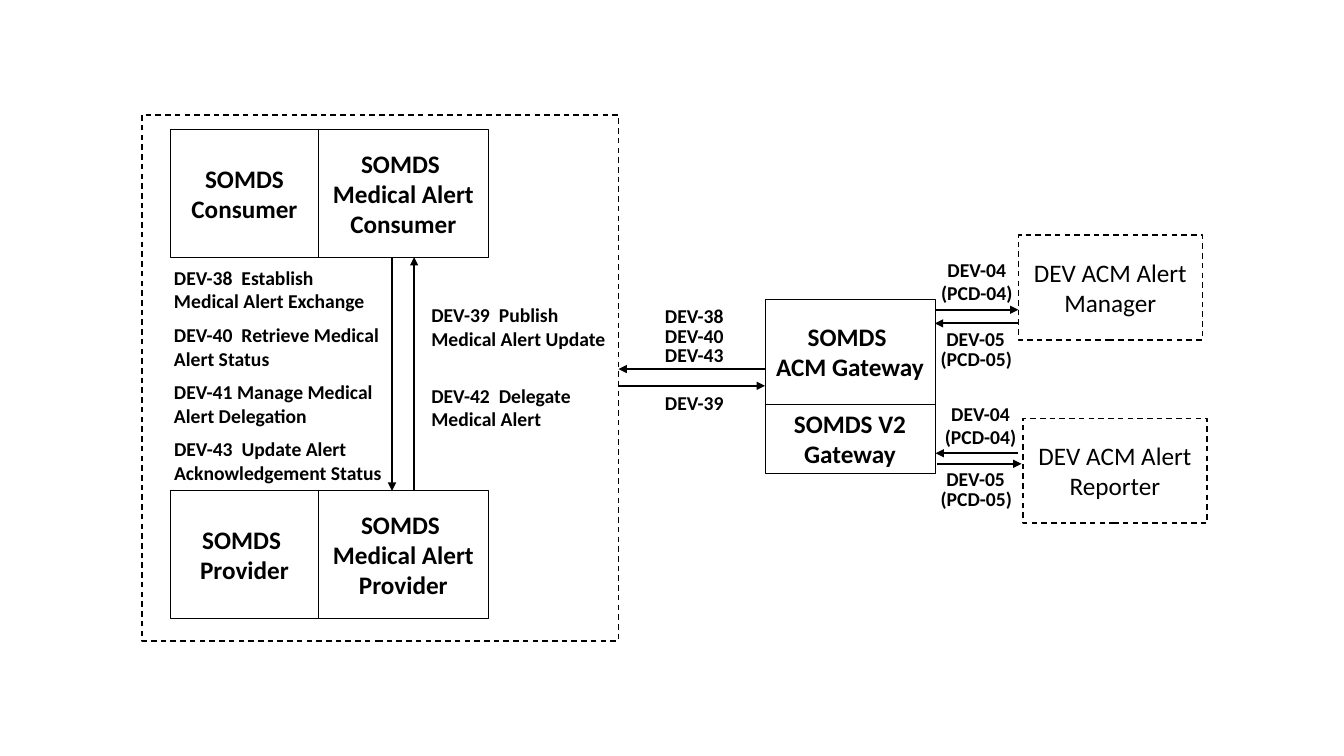
from dataclasses import dataclass

from lxml.etree import SubElement
from pptx import Presentation
from pptx.dml.color import RGBColor
from pptx.enum.dml import MSO_LINE_DASH_STYLE as Dash
from pptx.enum.shapes import MSO_CONNECTOR as Connector, MSO_SHAPE as Shape
from pptx.enum.text import MSO_ANCHOR as Anchor, MSO_AUTO_SIZE as AutoSize, PP_ALIGN as Align
from pptx.oxml.ns import qn
from pptx.slide import Slide
from pptx.text.text import TextFrame
from pptx.util import Pt


@dataclass(frozen=True)
class Theme:
    ink: RGBColor = RGBColor(0, 0, 0)
    paper: RGBColor = RGBColor(255, 255, 255)
    font: str = "Calibri"
    actor_size: float = 18
    label_size: float = 14
    solid_width: float = 0.5
    dash_width: float = 1
    arrow_width: float = 1.5


@dataclass(frozen=True)
class Actor:
    text: str
    left: float
    top: float
    width: float
    height: float
    dashed: bool = False


@dataclass(frozen=True)
class Label:
    text: str
    left: float
    top: float
    width: float
    height: float
    align: Align = Align.LEFT


@dataclass(frozen=True)
class Arrow:
    x1: float
    y1: float
    x2: float
    y2: float


THEME = Theme()


def write(frame: TextFrame, text: str, size: float, bold: bool, align: Align) -> None:
    frame.word_wrap = True
    frame.text = text
    font_format = {"name": THEME.font, "size": Pt(size), "bold": bold}
    for paragraph in frame.paragraphs:
        paragraph.alignment = align
        for run in paragraph.runs:
            for attribute, value in font_format.items():
                setattr(run.font, attribute, value)
            run.font.color.rgb = THEME.ink


def draw_actor(slide: Slide, actor: Actor) -> None:
    bounds = (actor.left, actor.top, actor.width, actor.height)
    box = slide.shapes.add_shape(Shape.RECTANGLE, *map(Pt, bounds))
    box.shadow.inherit = False
    box.line.color.rgb = THEME.ink
    if actor.dashed:
        box.fill.background()
        line_format = {"width": Pt(THEME.dash_width), "dash_style": Dash.DASH}
    else:
        box.fill.solid()
        box.fill.fore_color.rgb = THEME.paper
        line_format = {"width": Pt(THEME.solid_width)}
    for attribute, value in line_format.items():
        setattr(box.line, attribute, value)
    if actor.text:
        box.text_frame.vertical_anchor = Anchor.MIDDLE
        write(box.text_frame, actor.text, THEME.actor_size, not actor.dashed, Align.CENTER)


def draw_label(slide: Slide, label: Label) -> None:
    bounds = (label.left, label.top, label.width, label.height)
    frame = slide.shapes.add_textbox(*map(Pt, bounds)).text_frame
    write(frame, label.text, THEME.label_size, True, label.align)
    frame.auto_size = AutoSize.SHAPE_TO_FIT_TEXT


def draw_arrow(slide: Slide, arrow: Arrow) -> None:
    ends = (arrow.x1, arrow.y1, arrow.x2, arrow.y2)
    connector = slide.shapes.add_connector(Connector.STRAIGHT, *map(Pt, ends))
    connector.line.color.rgb = THEME.ink
    connector.line.width = Pt(THEME.arrow_width)
    properties = connector.line._get_or_add_ln()
    SubElement(properties, qn("a:tailEnd"), type="triangle")
    SubElement(connector._element.spPr, qn("a:effectLst"))


# Shared edges and label heights
SYSTEM_LEFT, SYSTEM_RIGHT = 101.4, 441.8
CONSUMER_TOP, PROVIDER_TOP, PARTY_HEIGHT = 92.7, 350.6, 91
PARTY_LEFT, PARTY_SPLIT = 121.6, 227.6
PARTY_WIDTH, ALERT_WIDTH = PARTY_SPLIT - PARTY_LEFT, 121
GATEWAY_LEFT, GATEWAY_WIDTH = 546.4, 121.4
GATEWAY_RIGHT = GATEWAY_LEFT + GATEWAY_WIDTH
MANAGER_LEFT, REPORTER_LEFT = 727.4, 730.7
ONE_LINE, TWO_LINES = 24.2, 41.2

ACTORS = [
    Actor("SOMDS \nProvider", PARTY_LEFT, PROVIDER_TOP, PARTY_WIDTH, PARTY_HEIGHT),
    Actor("SOMDS \nMedical Alert Provider", PARTY_SPLIT, PROVIDER_TOP, ALERT_WIDTH, PARTY_HEIGHT),
    Actor("SOMDS Consumer", PARTY_LEFT, CONSUMER_TOP, PARTY_WIDTH, PARTY_HEIGHT),
    Actor("SOMDS \nMedical Alert Consumer", PARTY_SPLIT, CONSUMER_TOP, ALERT_WIDTH, PARTY_HEIGHT),
    Actor("SOMDS \nACM Gateway", GATEWAY_LEFT, 213.7, GATEWAY_WIDTH, 75),
    Actor("SOMDS V2 Gateway", GATEWAY_LEFT, 288.7, GATEWAY_WIDTH, 49.3),
    Actor("DEV ACM Alert Manager", MANAGER_LEFT, 168, 131.4, 74.9, dashed=True),
    Actor("DEV ACM Alert Reporter", REPORTER_LEFT, 298.8, 131.4, 74.9, dashed=True),
    Actor("", SYSTEM_LEFT, 82, SYSTEM_RIGHT - SYSTEM_LEFT, 375.8, dashed=True),
]

ARROWS = [
    # Between consumer and provider
    Arrow(280, CONSUMER_TOP + PARTY_HEIGHT, 280, PROVIDER_TOP),
    Arrow(295.8, PROVIDER_TOP, 295.8, CONSUMER_TOP + PARTY_HEIGHT),
    # Between the system and the gateway
    Arrow(GATEWAY_LEFT, 263.6, SYSTEM_RIGHT, 263.6),
    Arrow(SYSTEM_RIGHT, 275.6, GATEWAY_LEFT, 275.6),
    # Between the gateways and the manager and reporter
    Arrow(GATEWAY_RIGHT, 221.3, MANAGER_LEFT, 221.3),
    Arrow(MANAGER_LEFT, 231, GATEWAY_RIGHT, 231),
    Arrow(669.3, 331.3, 729.7, 331.3),
    Arrow(727.3, 323.8, 668.3, 323.8),
]

# Transactions from consumer to provider, in an even stack
REQUESTS = [
    ("DEV-38  Establish Medical Alert Exchange", 163),
    ("DEV-40  Retrieve Medical Alert Status", 163),
    ("DEV-41 Manage Medical Alert Delegation", 163),
    ("DEV-43  Update Alert Acknowledgement Status", 173.5),
]
LABELS = [
    Label(text, 117.2, 186.3 + 40.8 * row, width, TWO_LINES)
    for row, (text, width) in enumerate(REQUESTS)
]

# Transactions from provider to consumer
LABELS += [
    Label(text, 301, top, 140.6, TWO_LINES)
    for text, top in [
        ("DEV-39  Publish Medical Alert Update", 212.9),
        ("DEV-42  Delegate Medical Alert", 270.3),
    ]
]

# Transactions at the gateway
LABELS += [
    Label(text, 467.9, top, 95, ONE_LINE)
    for text, top in [("DEV-38", 213.4), ("DEV-40", 228), ("DEV-43", 241.4), ("DEV-39", 275.8)]
]

# Transactions with the manager and the reporter
for left, report_top, status_top in [(664.6, 180.4, 229.7), (667.3, 283.2, 329.8)]:
    LABELS += [
        Label("DEV-04\n(PCD-04)", left, report_top, 66.2, TWO_LINES, Align.CENTER),
        Label("DEV-05", 663.8, status_top, 66.2, ONE_LINE, Align.CENTER),
        Label("(PCD-05)", 663.8, status_top + 14.4, 66.2, ONE_LINE, Align.RIGHT),
    ]


def main() -> None:
    deck = Presentation()
    deck.slide_width, deck.slide_height = Pt(960), Pt(540)
    slide = deck.slides.add_slide(deck.slide_layouts[6])
    for actor in ACTORS:
        draw_actor(slide, actor)
    for arrow in ARROWS:
        draw_arrow(slide, arrow)
    for label in LABELS:
        draw_label(slide, label)
    deck.save("out.pptx")


if __name__ == "__main__":
    main()
